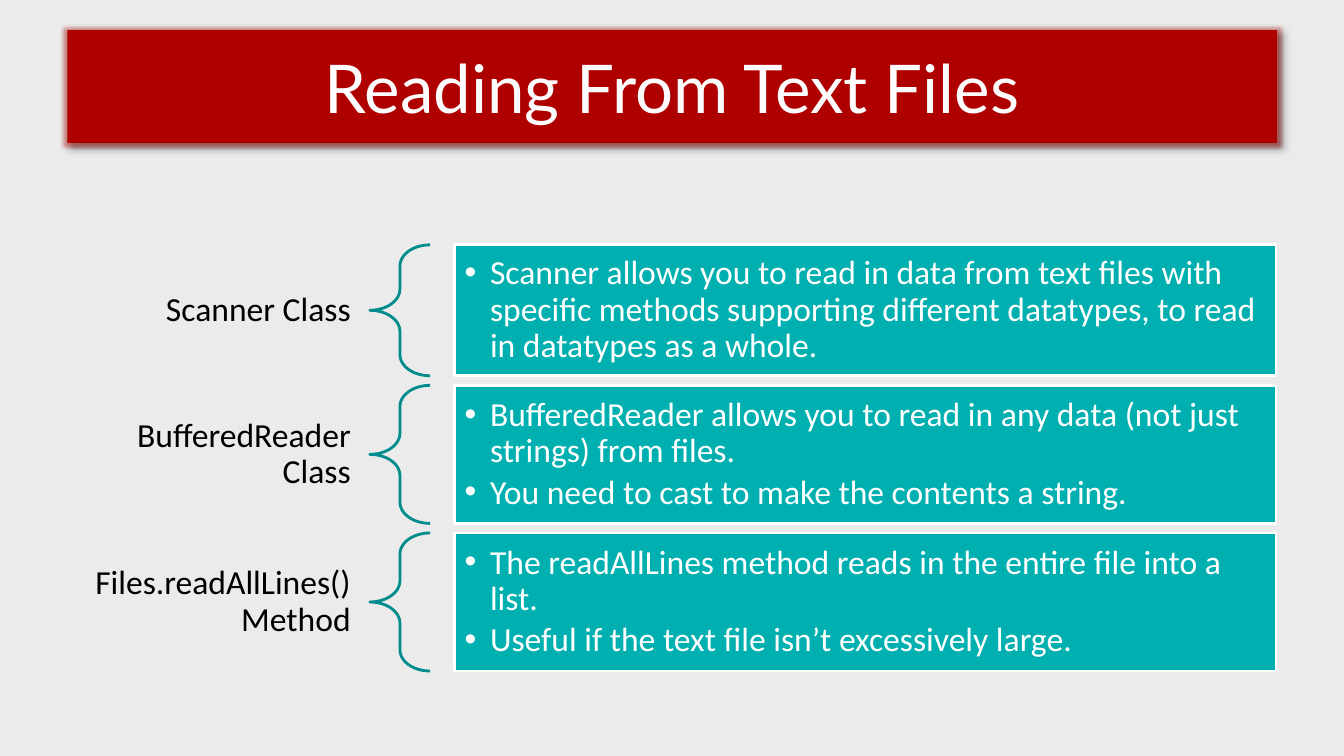
"""Build the slide that compares three ways of reading text files in Java."""
from dataclasses import dataclass

from lxml.etree import SubElement
from pptx import Presentation
from pptx.dml.color import RGBColor
from pptx.enum.shapes import MSO_SHAPE as Preset
from pptx.enum.text import MSO_ANCHOR as Anchor, MSO_AUTO_SIZE as AutoSize, PP_ALIGN as Align
from pptx.oxml import parse_xml
from pptx.oxml.ns import nsdecls, qn
from pptx.util import Cm, Pt

LEFT, TOP, ROW_GAP = 1.7, 6.17, 0.24
LABEL_WIDTH, BRACE_WIDTH = 7.62, 1.52
PANEL_LEFT, PANEL_WIDTH = 11.46, 20.7
BRACE_LEFT = LEFT + LABEL_WIDTH

FRAME = {"word_wrap": True, "auto_size": AutoSize.NONE, "vertical_anchor": Anchor.MIDDLE}
LABEL_FRAME = FRAME | {"margin_left": Cm(0.48), "margin_right": Cm(0.48),
                       "margin_top": Cm(0.18), "margin_bottom": Cm(0.18)}
PANEL_FRAME = FRAME | {f"margin_{side}": Cm(0.25) for side in ("left", "right", "top", "bottom")}
LABEL_PARAGRAPH = {"alignment": Align.RIGHT, "line_spacing": 0.9}
PANEL_PARAGRAPH = {"alignment": Align.LEFT, "line_spacing": 0.9, "space_after": Pt(3.6)}
BODY_FONT = {"name": "Calibri", "size": Pt(24)}
TITLE_FONT = {"name": "Lato", "size": Pt(48), "bold": False}

TITLE_EFFECTS = f"""<a:effectLst {nsdecls('a')}>
<a:glow rad="63500"><a:srgbClr val="AF0000"><a:alpha val="40000"/></a:srgbClr></a:glow>
<a:outerShdw blurRad="50800" dist="38100" dir="2700000" algn="tl" rotWithShape="0">
<a:srgbClr val="000000"><a:alpha val="40000"/></a:srgbClr></a:outerShdw></a:effectLst>"""
TITLE_OUTLINE = f"""<a:ln {nsdecls('a')} w="9525"><a:solidFill>
<a:srgbClr val="FFFFFF"/></a:solidFill></a:ln>"""


@dataclass(frozen=True)
class Reader:
    """One way of reading a file, with its row height in centimetres."""
    label: str
    points: tuple[str, ...]
    height: float


READERS = (
    Reader("Scanner Class",
           ("Scanner allows you to read in data from text files with specific methods "
            "supporting different datatypes, to read in datatypes as a whole.",), 3.3),
    Reader("BufferedReader Class",
           ("BufferedReader allows you to read in any data (not just strings) from files.",
            "You need to cast to make the contents a string."), 3.48),
    Reader("Files.readAllLines() Method",
           ("The readAllLines method reads in the entire file into a list.",
            "Useful if the text file isn’t excessively large."), 3.48),
)


def apply(target, formats: dict) -> None:
    """Set every attribute named in the format dict."""
    for name, value in formats.items():
        setattr(target, name, value)


def paint(colour_format, colour: str) -> None:
    """Give a fill or line fill one solid colour."""
    colour_format.solid()
    colour_format.fore_color.rgb = RGBColor.from_string(colour)


def write(paragraph, text: str, formats: dict, font: dict, colour: str):
    """Write one formatted run into a paragraph and return it."""
    apply(paragraph, formats)
    run = paragraph.add_run()
    run.text = text
    apply(run.font, font)
    paint(run.font.fill, colour)
    return run


def add_title(slide, text: str) -> None:
    """Turn the title placeholder into the red banner."""
    banner = slide.shapes.title
    apply(banner, {"left": Cm(LEFT), "top": Cm(0.76), "width": Cm(30.48), "height": Cm(2.84)})
    paint(banner.fill, "AF0000")
    banner._element.spPr.append(parse_xml(TITLE_EFFECTS))
    apply(banner.text_frame, FRAME | {"word_wrap": False})
    heading = write(banner.text_frame.paragraphs[0], text, {"alignment": Align.CENTER},
                    TITLE_FONT, "FEFCFC")
    heading.font._element.insert(0, parse_xml(TITLE_OUTLINE))


def add_label(slide, reader: Reader, top: float) -> None:
    """Place the reader's name to the left of its brace."""
    label = slide.shapes.add_textbox(Cm(LEFT), Cm(top), Cm(LABEL_WIDTH), Cm(reader.height))
    apply(label.text_frame, LABEL_FRAME)
    write(label.text_frame.paragraphs[0], reader.label, LABEL_PARAGRAPH, BODY_FONT, "000000")


def add_brace(slide, reader: Reader, top: float) -> None:
    """Draw the brace that opens towards the panel."""
    brace = slide.shapes.add_shape(Preset.LEFT_BRACE, Cm(BRACE_LEFT), Cm(top),
                                   Cm(BRACE_WIDTH), Cm(reader.height))
    brace.shadow.inherit = False
    brace.adjustments[0], brace.adjustments[1] = 0.35, 0.5
    brace.fill.background()
    paint(brace.line.fill, "008C8C")
    brace.line.width = Pt(2)


def add_panel(slide, reader: Reader, top: float) -> None:
    """Draw the teal panel with its bulleted points."""
    panel = slide.shapes.add_shape(Preset.RECTANGLE, Cm(PANEL_LEFT), Cm(top),
                                   Cm(PANEL_WIDTH), Cm(reader.height))
    panel.shadow.inherit = False
    paint(panel.fill, "00AFAF")
    paint(panel.line.fill, "FFFFFF")
    panel.line.width = Pt(2)
    frame = panel.text_frame
    apply(frame, PANEL_FRAME)
    for index, point in enumerate(reader.points):
        paragraph = frame.add_paragraph() if index else frame.paragraphs[0]
        properties = paragraph._p.get_or_add_pPr()
        properties.set("marL", str(Cm(0.64)))
        properties.set("indent", str(Cm(-0.64)))
        SubElement(properties, qn("a:buFont")).set("typeface", "Arial")
        SubElement(properties, qn("a:buChar")).set("char", "•")
        write(paragraph, point, PANEL_PARAGRAPH, BODY_FONT, "FFFFFF")


def main() -> None:
    """Build and save the slide."""
    deck = Presentation()
    apply(deck, {"slide_width": Cm(33.87), "slide_height": Cm(19.05)})
    slide = deck.slides.add_slide(deck.slide_layouts.get_by_name("Title Only"))
    paint(slide.background.fill, "EBEBEB")
    add_title(slide, "Reading From Text Files")
    top = TOP
    for reader in READERS:
        for add_part in (add_label, add_brace, add_panel):
            add_part(slide, reader, top)
        top += reader.height + ROW_GAP
    deck.save("out.pptx")


if __name__ == "__main__":
    main()
